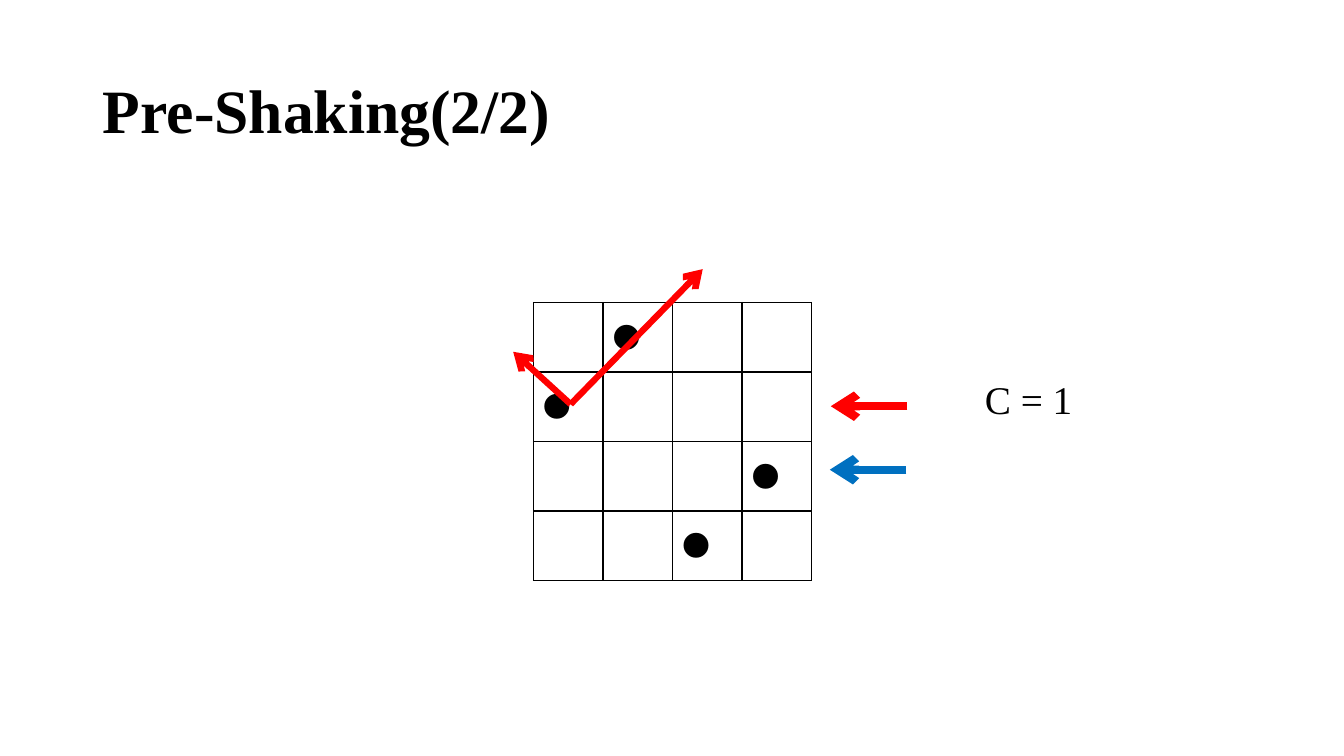
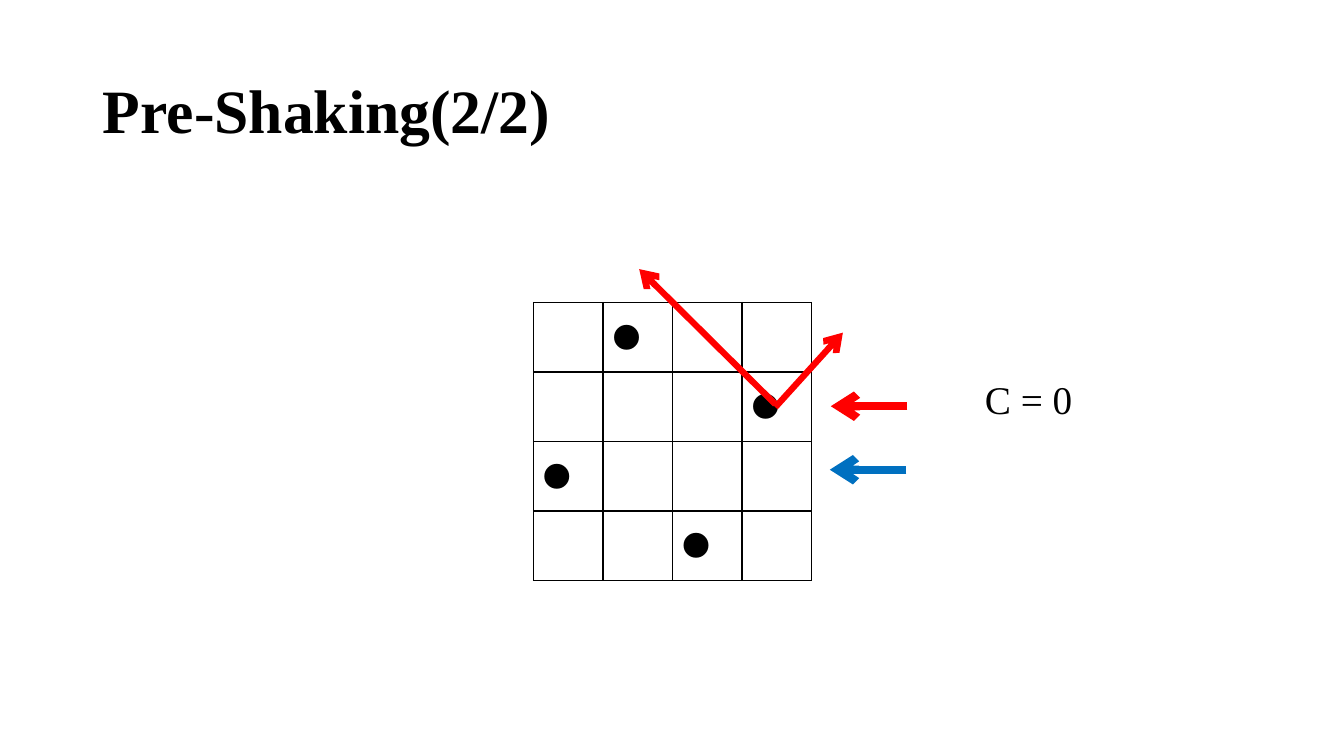
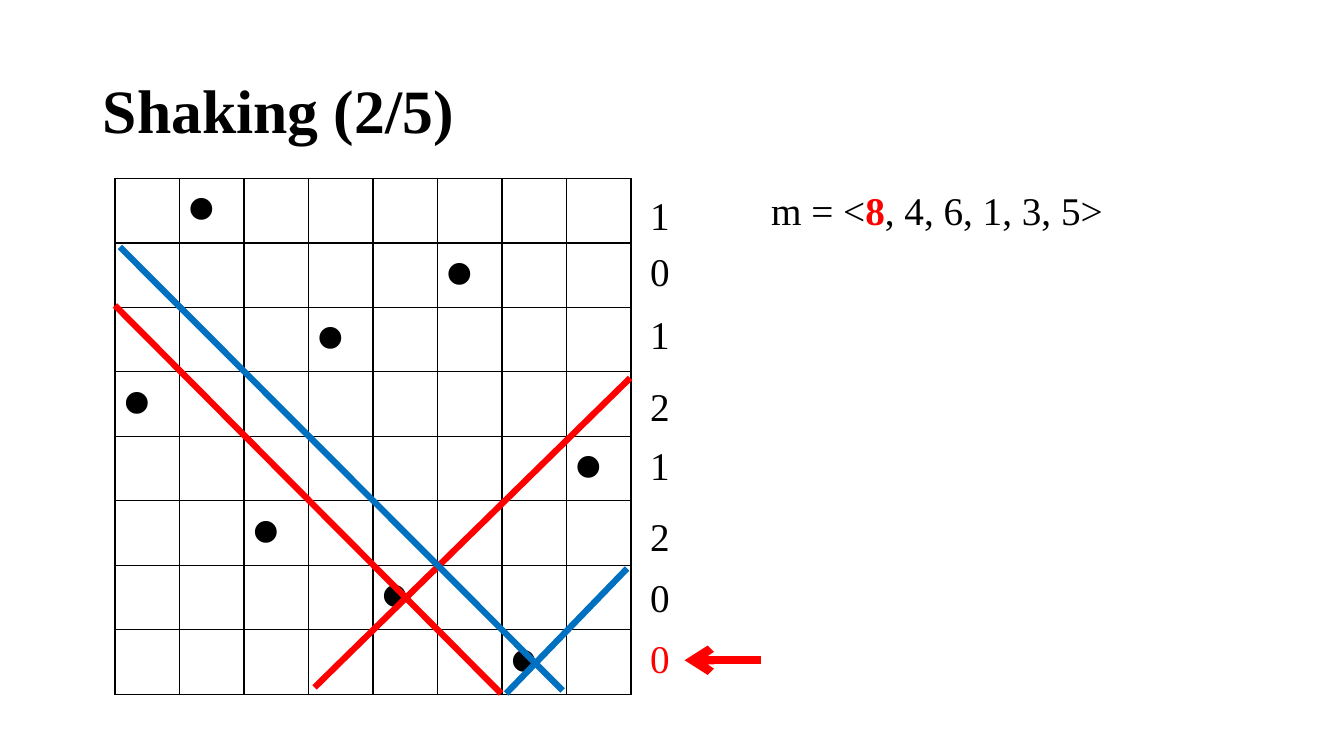
from pptx import Presentation
from pptx.dml.color import RGBColor
from pptx.enum.shapes import MSO_CONNECTOR as Conn
from pptx.enum.text import MSO_ANCHOR as Anchor, MSO_AUTO_SIZE as Fit, PP_ALIGN as Align
from pptx.oxml import parse_xml
from pptx.oxml.ns import nsdecls
from pptx.util import Inches, Pt
from lxml.etree import SubElement
from pptx.oxml.ns import qn

BLACK = RGBColor(0x00, 0x00, 0x00)
RED = RGBColor(0xFF, 0x00, 0x00)
BLUE = RGBColor(0x00, 0x70, 0xC0)
SERIF = "Times New Roman"
SANS = "Calibri"
QUEEN = "⚫"


class Deck:
    def __init__(self):
        self.prs = Presentation()
        self.prs.slide_width = Inches(13.33)
        self.prs.slide_height = Inches(7.5)
        self.slide = None

    def style(self, font, size, color=BLACK, bold=False, name=SERIF):
        font.name = name
        font.size = Pt(size)
        font.bold = bold
        font.color.rgb = color

    def page(self, text):
        self.slide = self.prs.slides.add_slide(self.prs.slide_layouts[5])
        title = self.slide.shapes.title
        title.left, title.top = Inches(0.92), Inches(0.4)
        title.width, title.height = Inches(11.5), Inches(1.45)
        frame = title.text_frame
        frame.text = text
        frame.auto_size = Fit.NONE
        frame.vertical_anchor = Anchor.MIDDLE
        para = frame.paragraphs[0]
        para.alignment = Align.LEFT
        para.line_spacing = 0.9
        self.style(para.font, 44, bold=True)

    def frame_cell(self, cell):
        """Give the cell thin black borders and no fill."""
        props = cell._tc.get_or_add_tcPr()
        for side in "LRTB":
            props.append(parse_xml(
                f'<a:ln{side} {nsdecls("a")} w="{Pt(1)}"><a:solidFill>'
                f'<a:srgbClr val="{BLACK}"/></a:solidFill></a:ln{side}>'))
        cell.fill.background()

    def board(self, left, top, side, queens, size):
        """Draw a square board; queens holds the queen's column in each row."""
        count = len(queens)
        edge = Inches(side)
        table = self.slide.shapes.add_table(
            count, count, Inches(left), Inches(top), edge, edge).table
        table.first_row = table.horz_banding = False
        for line in table.columns:
            line.width = edge // count
        for line in table.rows:
            line.height = edge // count
        for cell in table.iter_cells():
            self.frame_cell(cell)
        for row, col in enumerate(queens):
            cell = table.cell(row, col)
            cell.text = QUEEN
            self.style(cell.text_frame.paragraphs[0].font, size, name=SANS)

    def line(self, start, end, color=RED, width=4.5, arrow=False):
        link = self.slide.shapes.add_connector(
            Conn.STRAIGHT, *(Inches(v) for v in (*start, *end)))
        link.line.color.rgb = color
        link.line.width = Pt(width)
        if arrow:
            SubElement(link.line._get_or_add_ln(), qn("a:tailEnd"), type="arrow")
        SubElement(link._element.spPr, qn("a:effectLst"))

    def pointer(self, right, y, color=RED):
        self.line((right, y), (right - 0.76, y), color, 6, arrow=True)

    def label(self, text, left, top, width, height=0.57, color=BLACK, wrap=False):
        box = self.slide.shapes.add_textbox(
            *(Inches(v) for v in (left, top, width, height)))
        box.text_frame.word_wrap = wrap
        para = box.text_frame.paragraphs[0]
        para.text = text
        self.style(para.font, 28, color)
        return para

    def pre_shake(self, queens, rays, count):
        self.page("Pre-Shaking(2/2)")
        self.board(5.29, 3, 2.76, queens, 32)
        for start, end in rays:
            self.line(start, end, arrow=True)
        self.pointer(9, 4.03)
        self.pointer(8.99, 4.66, BLUE)
        note = self.label(f"C = {count}", 9.67, 3.73, 1.46, 0.63, wrap=True)
        note.line_spacing = 0.9

    def shake(self):
        self.page("Shaking (2/5)")
        self.board(1.14, 1.77, 5.12, (1, 5, 3, 0, 7, 2, 4, 6), 28)
        for start, end, color in (
            ((1.14, 3.03), (4.97, 6.88), RED),
            ((6.25, 3.75), (3.12, 6.82), RED),
            ((1.19, 2.45), (5.58, 6.85), BLUE),
            ((6.22, 5.64), (5.02, 6.88), BLUE),
        ):
            self.line(start, end, color)
        tops = (1.85, 2.4, 3.03, 3.74, 4.33, 5.03, 5.64, 6.24)
        for count, top in zip("10121200", tops):
            self.label(count, 6.35, top, 0.4, color=RED if top == tops[-1] else BLACK)
        moves = self.label("m = <", 7.55, 1.8, 3.57)
        first = moves.add_run()
        first.text = "8"
        first.font.bold = True
        first.font.color.rgb = RED
        moves.add_run().text = ", 4, 6, 1, 3, 5>"
        self.pointer(7.55, 6.55)


def main():
    deck = Deck()
    deck.pre_shake((1, 0, 3, 2), (((5.66, 4.01), (6.97, 2.67)),
                                  ((5.66, 4.01), (5.09, 3.49))), 1)
    deck.pre_shake((1, 3, 0, 2), (((7.69, 4.04), (8.36, 3.3)),
                                  ((7.69, 4.01), (6.34, 2.67))), 0)
    deck.shake()
    deck.prs.save("out.pptx")


if __name__ == "__main__":
    main()
